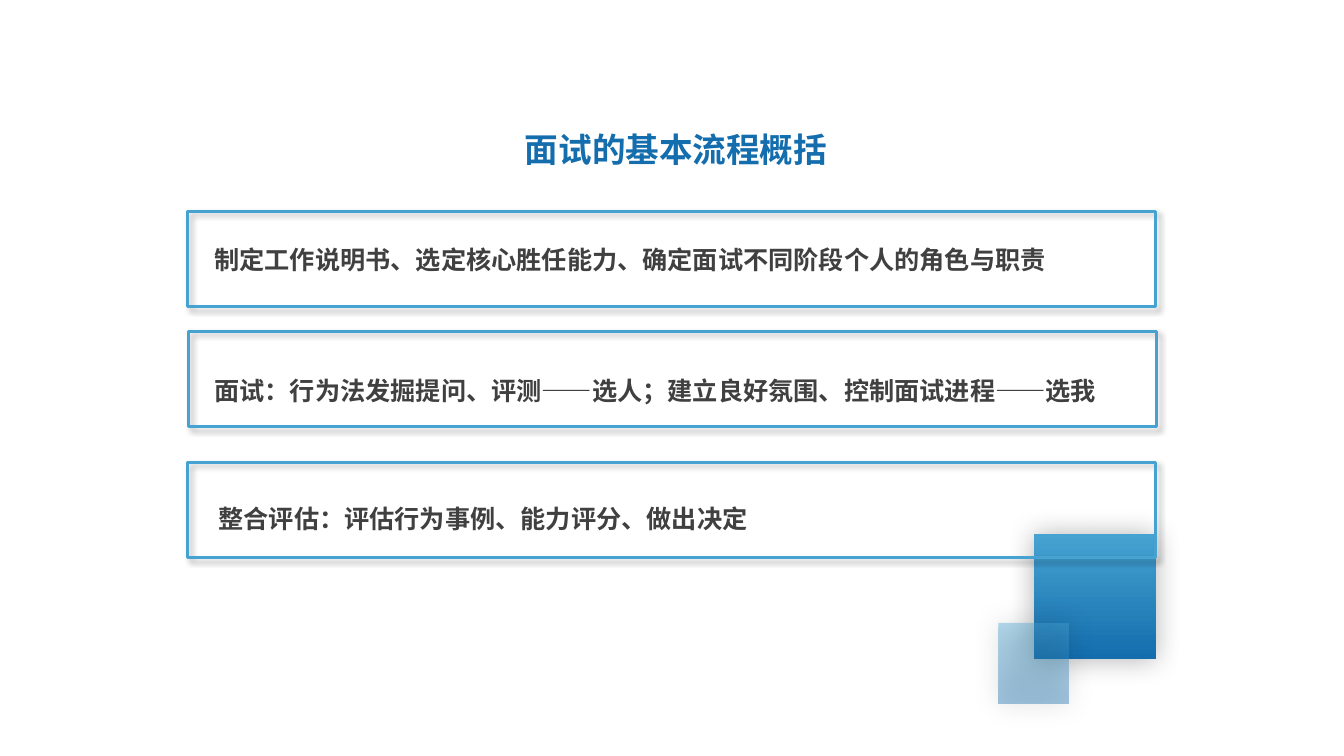
from dataclasses import dataclass

from lxml.etree import SubElement
from pptx import Presentation
from pptx.dml.color import RGBColor
from pptx.enum.shapes import MSO_SHAPE
from pptx.enum.text import MSO_AUTO_SIZE, PP_ALIGN
from pptx.oxml.ns import qn
from pptx.shapes.autoshape import Shape
from pptx.slide import Slide
from pptx.util import Emu, Pt

EMU_PER_PX = 9144
LIGHT_BLUE = RGBColor(0x46, 0xA2, 0xD0)
DEEP_BLUE = RGBColor(0x14, 0x6D, 0xAD)
DARK_GREY = RGBColor(0x40, 0x40, 0x40)
STEP_WIDTH, STEP_HEIGHT = 961, 94


@dataclass(frozen=True)
class Area:
    left: int
    top: int
    width: int
    height: int

    def emu(self) -> tuple[Emu, ...]:
        sides = (self.left, self.top, self.width, self.height)
        return tuple(Emu(side * EMU_PER_PX) for side in sides)


@dataclass(frozen=True)
class Style:
    font: str
    size: int
    color: RGBColor
    align: PP_ALIGN
    spacing: float


@dataclass(frozen=True)
class Step:
    left: int
    top: int
    wording: str
    text_area: Area


@dataclass(frozen=True)
class Square:
    area: Area
    opacity: int


TITLE_STYLE = Style("Arial", 24, DEEP_BLUE, PP_ALIGN.CENTER, 1.0)
STEP_STYLE = Style("Noto Sans CJK SC", 18, DARK_GREY, PP_ALIGN.LEFT, 1.5)
STEPS = (
    Step(186, 210, "制定工作说明书、选定核心胜任能力、确定面试不同阶段个人的角色与职责",
         Area(203, 222, 883, 56)),
    Step(187, 329, "面试：行为法发掘提问、评测——选人；建立良好氛围、控制面试进程——选我",
         Area(203, 352, 936, 56)),
    Step(186, 459, "整合评估：评估行为事例、能力评分、做出决定",
         Area(207, 479, 838, 56)),
)
SQUARES = (
    Square(Area(1026, 530, 121, 124), 100),
    Square(Area(991, 618, 70, 80), 40),
)


def add_alpha(color_element, percent: int) -> None:
    SubElement(color_element, qn("a:alpha"), val=str(percent * 1000))


def add_shadow(shape: Shape, blur: int, distance: int, angle: int) -> None:
    shape.shadow.inherit = False
    effects = shape._element.spPr.find(qn("a:effectLst"))
    shadow = SubElement(
        effects, qn("a:outerShdw"), blurRad=str(Pt(blur)), dist=str(Pt(distance)),
        dir=str(angle * 60000), algn="ctr", rotWithShape="0",
    )
    add_alpha(SubElement(shadow, qn("a:srgbClr"), val="000000"), 30)


def draw_text(slide: Slide, area: Area, wording: str, style: Style) -> None:
    frame = slide.shapes.add_textbox(*area.emu()).text_frame
    frame.word_wrap = True
    frame.auto_size = MSO_AUTO_SIZE.SHAPE_TO_FIT_TEXT
    paragraph = frame.paragraphs[0]
    paragraph.text = wording
    paragraph.alignment = style.align
    paragraph.line_spacing = style.spacing
    paragraph.font.name = style.font
    paragraph.font.size = Pt(style.size)
    paragraph.font.bold = True
    paragraph.font.color.rgb = style.color


def draw_frame(slide: Slide, step: Step) -> None:
    area = Area(step.left, step.top, STEP_WIDTH, STEP_HEIGHT)
    frame = slide.shapes.add_shape(MSO_SHAPE.RECTANGLE, *area.emu())
    frame.fill.background()
    frame.line.color.rgb = LIGHT_BLUE
    frame.line.width = Pt(2)
    add_shadow(frame, 4, 3, 45)


def draw_square(slide: Slide, square: Square) -> None:
    tile = slide.shapes.add_shape(MSO_SHAPE.ROUNDED_RECTANGLE, *square.area.emu())
    tile.adjustments[0] = 0
    tile.line.fill.background()
    tile.fill.gradient()
    tile.fill.gradient_angle = 270
    for stop, color in zip(tile.fill.gradient_stops, (LIGHT_BLUE, DEEP_BLUE)):
        stop.color.rgb = color
    if square.opacity < 100:
        for color_element in tile._element.spPr.iter(qn("a:srgbClr")):
            add_alpha(color_element, square.opacity)
    add_shadow(tile, 20, 0, 0)


def main() -> None:
    deck = Presentation()
    deck.slide_width = Emu(1334 * EMU_PER_PX)
    deck.slide_height = Emu(750 * EMU_PER_PX)
    slide = deck.slides.add_slide(deck.slide_layouts[6])
    draw_text(slide, Area(218, 123, 906, 50), "面试的基本流程概括", TITLE_STYLE)
    first_step, *later_steps = STEPS
    draw_frame(slide, first_step)
    for square in SQUARES:
        draw_square(slide, square)
    for step in later_steps:
        draw_frame(slide, step)
    for step in STEPS:
        draw_text(slide, step.text_area, step.wording, STEP_STYLE)
    deck.save("out.pptx")


if __name__ == "__main__":
    main()
